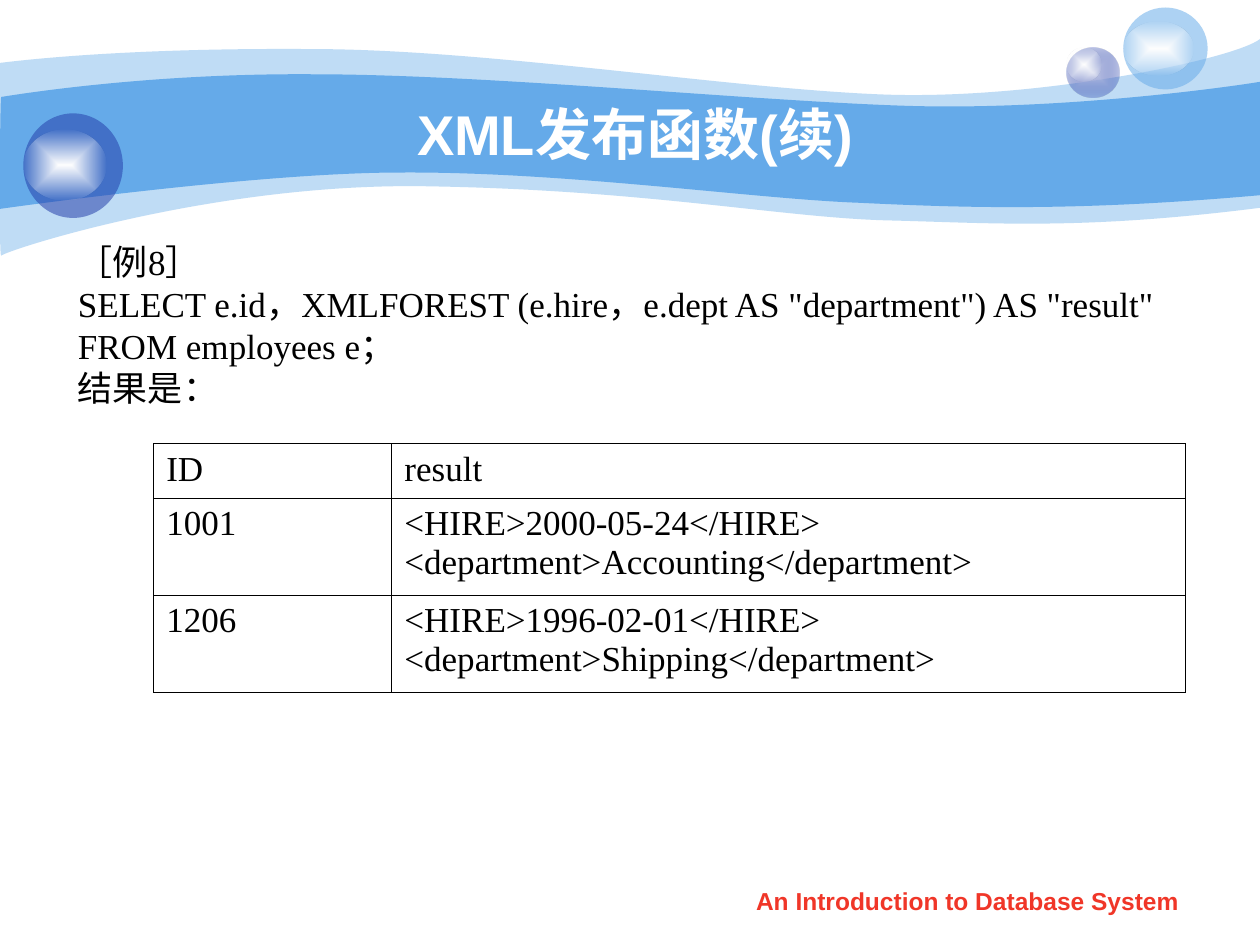
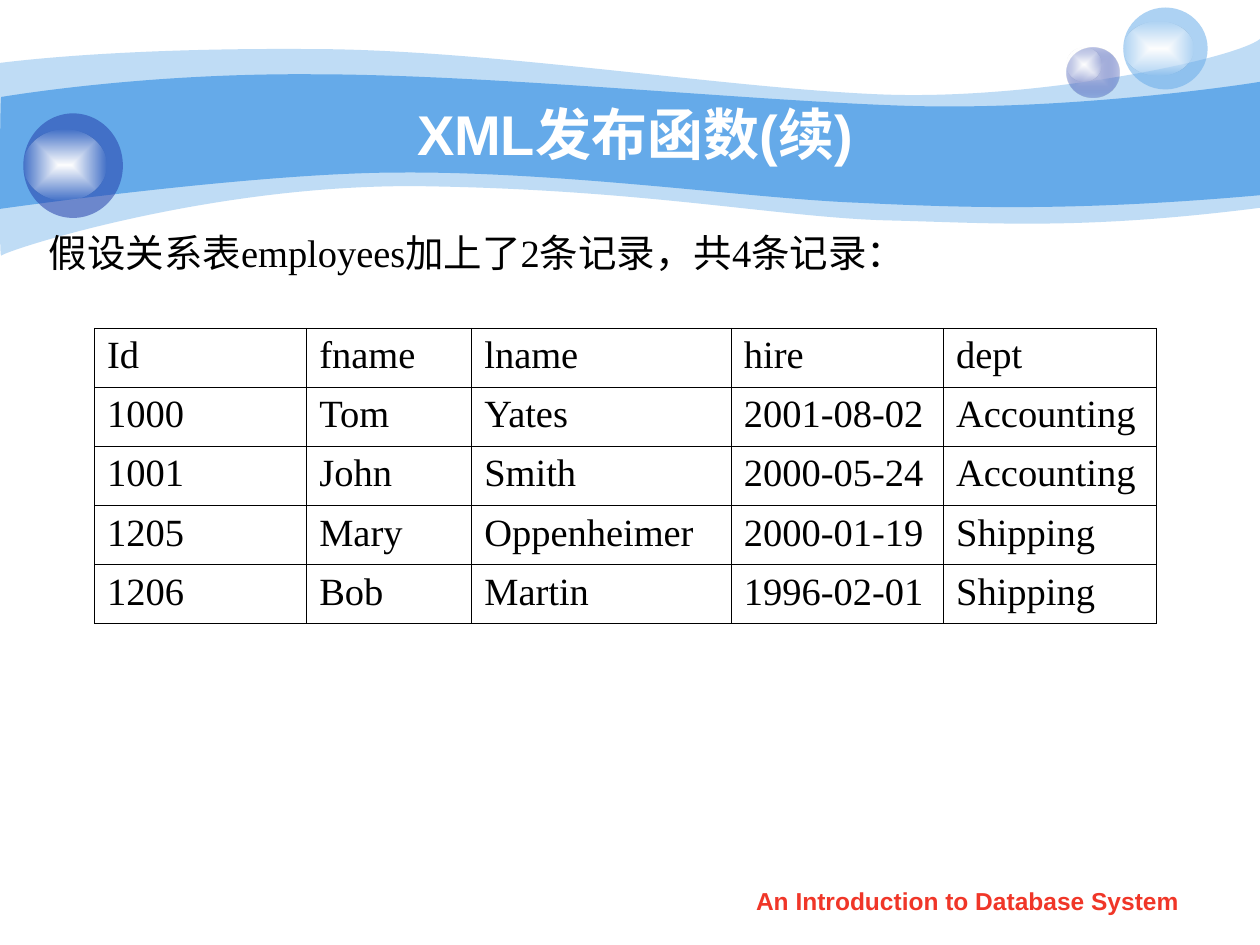
from lxml.etree import SubElement
from pptx import Presentation
from pptx.dml.color import RGBColor
from pptx.enum.shapes import MSO_SHAPE
from pptx.enum.text import MSO_ANCHOR, MSO_AUTO_SIZE, PP_ALIGN
from pptx.oxml.ns import qn
from pptx.util import Inches, Pt

WIDE, HIGH = Inches(10), Inches(7.5)
CELL = WIDE / 100
SKY, NAVY, PALE = "65AAE9", "233DA9", "C6CCE8"
WHITE, GLOW, BLACK, RED = "FFFFFF", "FEFEFE", "000000", "F03628"
SANS, SERIF = "Arial", "Times New Roman"
SHINE = [(WHITE, 100), (GLOW, 0)]

BACK = [(0, 5), [
    (2.4, 4.7, 10.7, 3.8, 24.7, 3.9), (38.6, 3.9, 57.5, 7, 69.9, 7.5),
    (82.2, 8, 98, 4.7, 100, 3.1), (100, 16.5),
    (85.8, 18.3, 78.7, 17.7, 70.5, 17.5), (62.2, 17.3, 51.5, 15.1, 34.3, 14.8),
    (17.2, 14.4, 0.4, 19.9, 0.1, 20.3), (-0.1, 20.8, 0, 7.5, 0, 5)]]
FRONT = [(0.1, 7.7), [
    (0.2, 7.7, 11, 5.8, 24.8, 5.9), (38.6, 5.9, 59.5, 8, 71.8, 8.4),
    (84.1, 8.8, 97.6, 6.9, 100, 6.5), (100, 15.5),
    (85.3, 16.8, 76.5, 16.5, 68.2, 16.1), (59.9, 15.8, 44.7, 13.6, 31.7, 13.7),
    (20.3, 13.7, -0.2, 16.6, -0.1, 16.6), (0, 16.6, 0, 7.7, 0.1, 7.7)]]


def span(*cells):
    return [round(n * CELL) for n in cells]


def tint(code):
    return RGBColor.from_string(code)


def fade(node, share):
    SubElement(node, qn("a:alpha"), val=str(share * 1000))


def paint(shape, code, share=100):
    shape.shadow.inherit = False
    shape.line.fill.background()
    shape.fill.solid()
    shape.fill.fore_color.rgb = tint(code)
    if share < 100:
        fade(shape.fill._xPr.find(".//" + qn("a:srgbClr")), share)


def blend(shape, stops):
    paint(shape, WHITE)
    props = shape._element.spPr
    grad = SubElement(props, qn("a:gradFill"), rotWithShape="1")
    props.replace(props.find(qn("a:solidFill")), grad)
    row = SubElement(grad, qn("a:gsLst"))
    for pos, (code, share) in zip((0, 100000), stops):
        stop = SubElement(row, qn("a:gs"), pos=str(pos))
        fade(SubElement(stop, qn("a:srgbClr"), val=code), share)
    way = SubElement(grad, qn("a:path"), path="rect")
    SubElement(way, qn("a:fillToRect"), **dict.fromkeys("ltrb", "50000"))


def bend(shape, parts):
    steps = iter(list(shape._element.iter(qn("a:lnTo"))))
    for part in parts:
        trio = [next(steps) for _ in range(len(part) // 2)]
        if len(trio) == 3:
            route = trio[0].getparent()
            arc = SubElement(route, qn("a:cubicBezTo"))
            route.replace(trio[0], arc)
            for step in trio:
                arc.append(step[0])
            for step in trio[1:]:
                route.remove(step)


def wave(slide, start, parts, share=100):
    pen = slide.shapes.build_freeform(*span(*start))
    pen.add_line_segments([span(*part[i:i + 2]) for part in parts
                           for i in range(0, len(part), 2)])
    shape = pen.convert_to_shape()
    bend(shape, parts)
    paint(shape, SKY, share)


def disc(slide, *box):
    return slide.shapes.add_shape(MSO_SHAPE.OVAL, *span(*box))


def write(frame, lines, size, font=SERIF, color=BLACK, bold=False,
          align=PP_ALIGN.LEFT):
    for i, line in enumerate(lines):
        para = frame.add_paragraph() if i else frame.paragraphs[0]
        para.alignment = align
        run = para.add_run()
        run.text = line
        run.font.name, run.font.size, run.font.bold = font, Pt(size), bold
        run.font.color.rgb = tint(color)


def label(slide, box, lines, size, wrap=True, mid=True, **style):
    frame = slide.shapes.add_textbox(*span(*box)).text_frame
    frame.word_wrap = wrap
    if not wrap:
        frame.auto_size = MSO_AUTO_SIZE.SHAPE_TO_FIT_TEXT
    frame.vertical_anchor = MSO_ANCHOR.MIDDLE if mid else MSO_ANCHOR.TOP
    write(frame, lines, size, **style)


def edge(cell):
    props = cell._tc.get_or_add_tcPr()
    for side in ("a:lnL", "a:lnR", "a:lnT", "a:lnB"):
        line = SubElement(props, qn(side), w=str(Pt(0.45)))
        fill = SubElement(line, qn("a:solidFill"))
        SubElement(fill, qn("a:srgbClr"), val=BLACK)


def grid(slide, left, top, cols, rows, data, size):
    box = span(left, top, sum(cols), sum(rows))
    table = slide.shapes.add_table(len(rows), len(cols), *box).table
    table.first_row = table.horz_banding = False
    for col, wide in zip(table.columns, span(*cols)):
        col.width = wide
    for row, high, texts in zip(table.rows, span(*rows), data):
        row.height = high
        for cell, text in zip(row.cells, texts):
            edge(cell)
            cell.fill.background()
            write(cell.text_frame, text.split("\n"), size)


def base(deck):
    slide = deck.slides.add_slide(deck.slide_layouts[6])
    wave(slide, *BACK, share=41)
    wave(slide, *FRONT)
    blend(disc(slide, 84.65, 3.75, 4.2, 4), [(PALE, 100), (NAVY, 31)])
    blend(disc(slide, 84.65, 3.75, 2.8, 2.7), SHINE)
    paint(disc(slide, 89.15, 0.6, 6.7, 6.5), SKY, 53)
    blend(disc(slide, 89.15, 1.7, 5.6, 4.3), SHINE)
    paint(disc(slide, 1.85, 9, 7.9, 8.3), NAVY, 53)
    blend(disc(slide, 1.85, 10.3, 6.6, 5.6), SHINE)
    head = dict(font=SANS, bold=True, align=PP_ALIGN.CENTER)
    label(slide, (10, 7.5, 80.8, 6.2), ["XML发布函数(续)"], 32, color=WHITE, **head)
    label(slide, (57.1, 69.8, 39.4, 3.5), ["An Introduction to Database System"],
          14, mid=False, color=RED, **head)
    return slide


def forest(deck):
    slide = base(deck)
    label(slide, (5.2, 18.55, 90.4, 14.4), [
        "［例8］",
        'SELECT e.id，XMLFOREST (e.hire，e.dept AS "department") AS "result"',
        "FROM employees e；",
        "结果是："], 20, wrap=False)
    grid(slide, 12.2, 35.2, [18.9, 63], [4.35, 7.7, 7.7], [
        ("ID", "result"),
        ("1001", "<HIRE>2000-05-24</HIRE>\n<department>Accounting</department>"),
        ("1206", "<HIRE>1996-02-01</HIRE>\n<department>Shipping</department>"),
    ], 20)


def staff(deck):
    slide = base(deck)
    label(slide, (2.9, 17.65, 74.3, 4.7),
          ["假设关系表employees加上了2条记录，共4条记录："], 22, wrap=False)
    grid(slide, 7.5, 26.05, [16.85, 13.1, 20.6, 16.85, 16.85], [4.69] * 5, [
        ("Id", "fname", "lname", "hire", "dept"),
        ("1000", "Tom", "Yates", "2001-08-02", "Accounting"),
        ("1001", "John", "Smith", "2000-05-24", "Accounting"),
        ("1205", "Mary", "Oppenheimer", "2000-01-19", "Shipping"),
        ("1206", "Bob", "Martin", "1996-02-01", "Shipping"),
    ], 22)


def main():
    deck = Presentation()
    deck.slide_width, deck.slide_height = WIDE, HIGH
    forest(deck)
    staff(deck)
    deck.save("out.pptx")


if __name__ == "__main__":
    main()
